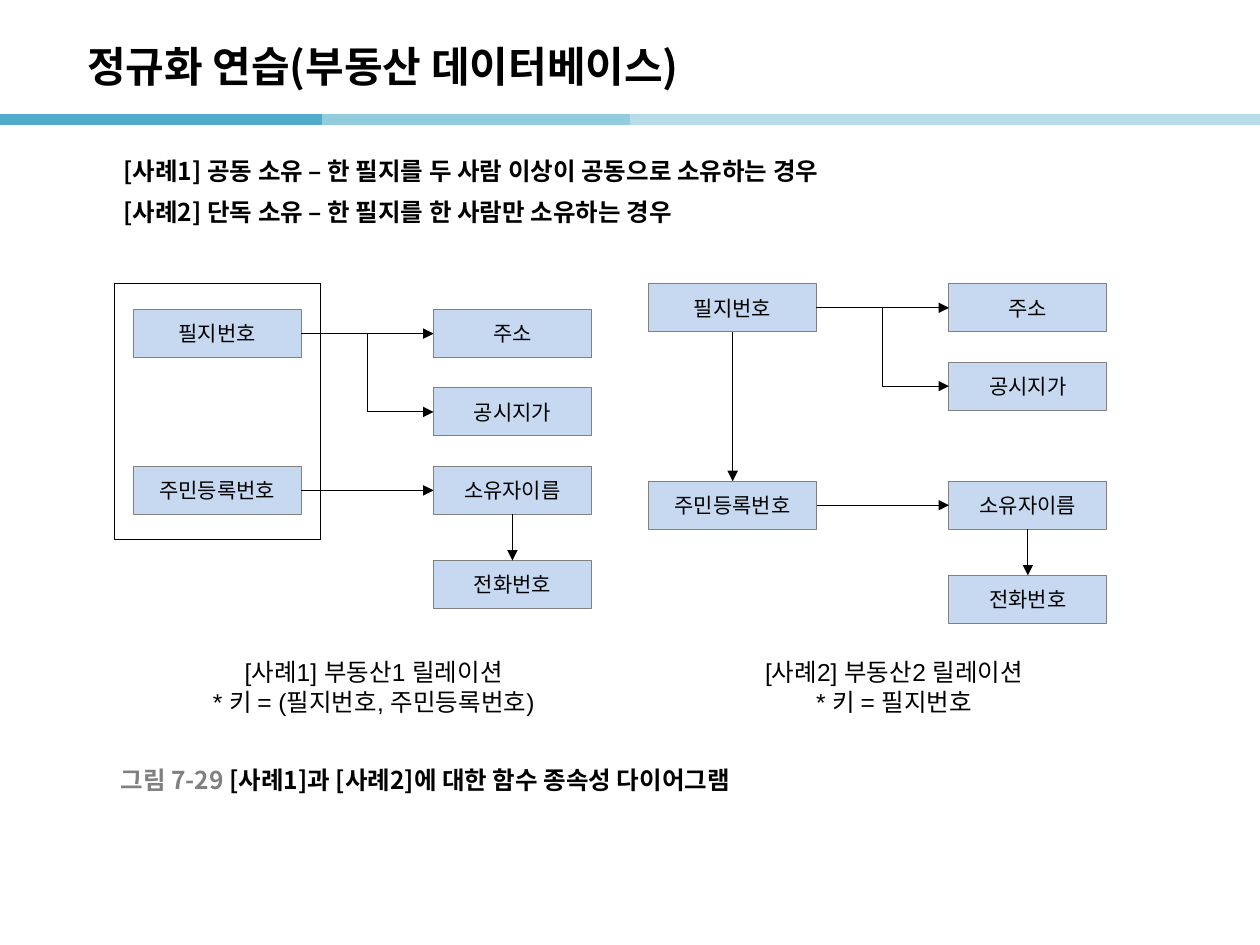
"""Builds the slide on normalization practice with two functional dependency diagrams."""
from dataclasses import dataclass

from lxml import etree
from pptx import Presentation
from pptx.dml.color import RGBColor
from pptx.enum.shapes import MSO_CONNECTOR, MSO_SHAPE
from pptx.enum.text import MSO_ANCHOR, PP_ALIGN
from pptx.oxml.ns import qn
from pptx.util import Cm, Pt

STRAIGHT, ELBOW = MSO_CONNECTOR.STRAIGHT, MSO_CONNECTOR.ELBOW
RECTANGLE = MSO_SHAPE.RECTANGLE
MIDDLE, TOP_ANCHOR = MSO_ANCHOR.MIDDLE, MSO_ANCHOR.TOP
LEFT_ALIGN, CENTER = PP_ALIGN.LEFT, PP_ALIGN.CENTER
TOP, LEFT, BOTTOM, RIGHT = range(4)
KOREAN, LATIN = "Noto Sans CJK KR", "Arial"
COLORS = {
    "text": "000000", "gray": "808080", "box": "C6D9F1", "white": "FFFFFF",
    "teal": "50ABCC", "aqua": "93CDDD", "pale": "B7DEE8",
}
TITLE_FONT = {"name": KOREAN, "size": Pt(24), "bold": True}
BODY_FONT = {"name": KOREAN, "size": Pt(14), "bold": True}
BOX_FONT = {"name": KOREAN, "size": Pt(12), "bold": False}
CAPTION_FONT = {"name": LATIN, "size": Pt(14), "bold": False}
KEY_WIDTH, FACT_WIDTH, BOX_HEIGHT = 3.38, 3.18, 0.97
FACT_OFFSET, PRICE_OFFSET, PHONE_OFFSET = 6.05, 1.58, 1.9


@dataclass
class Bar:
    start: float
    end: float
    color: str


@dataclass
class Panel:
    left: float
    parcel_top: float
    owner_top: float
    parcel_sets_resident: bool


@dataclass
class Caption:
    left: float
    width: float
    text: str


BARS = [Bar(0, 6.5, "teal"), Bar(6.5, 13, "aqua"), Bar(12.7, 19.2, "pale"), Bar(18.95, 25.45, "pale")]
PANELS = [Panel(2.69, 6.24, 9.4, False), Panel(13.08, 5.72, 9.7, True)]
CASES = [
    "[사례1] 공동 소유 – 한 필지를 두 사람 이상이 공동으로 소유하는 경우",
    "[사례2] 단독 소유 – 한 필지를 한 사람만 소유하는 경우",
]
CAPTIONS = [
    Caption(1.9, 10, "[사례1] 부동산1 릴레이션\v* 키 = (필지번호, 주민등록번호)"),
    Caption(13.49, 7.8, "[사례2] 부동산2 릴레이션\v* 키 = 필지번호"),
]
FIGURE_RUNS = [("그림 7-29 ", "gray"), ("[사례1]과 [사례2]에 대한 함수 종속성 다이어그램", "text")]


def rgb(name: str) -> RGBColor:
    return RGBColor.from_string(COLORS[name])


def apply(target, values: dict) -> None:
    for name, value in values.items():
        setattr(target, name, value)


def format_paragraph(paragraph, font: dict, align=LEFT_ALIGN, color: str = "text") -> None:
    paragraph.alignment = align
    for run in paragraph.runs:
        apply(run.font, font)
        run.font.color.rgb = rgb(color)
        etree.SubElement(run.font._element, qn("a:ea"), typeface=KOREAN)


def indent(paragraph, margin: float, first_line: float) -> None:
    properties = paragraph._p.get_or_add_pPr()
    properties.set("marL", str(Cm(margin)))
    properties.set("indent", str(Cm(first_line)))


def add_text_frame(slide, left: float, top: float, width: float, height: float, anchor=TOP_ANCHOR):
    frame = slide.shapes.add_textbox(Cm(left), Cm(top), Cm(width), Cm(height)).text_frame
    apply(frame, {"word_wrap": True, "vertical_anchor": anchor})
    return frame


def add_rectangle(slide, left: float, top: float, width: float, height: float, fill: str, line: str):
    shape = slide.shapes.add_shape(RECTANGLE, Cm(left), Cm(top), Cm(width), Cm(height))
    shape.shadow.inherit = False
    shape.fill.solid()
    shape.fill.fore_color.rgb = rgb(fill)
    shape.line.color.rgb = rgb(line)
    shape.line.width = Pt(0.5)
    return shape


def add_box(slide, left: float, top: float, width: float, text: str):
    shape = add_rectangle(slide, left, top, width, BOX_HEIGHT, "box", "gray")
    frame = shape.text_frame
    apply(frame, {"text": text, "vertical_anchor": MIDDLE, "margin_left": Cm(0.1), "margin_right": Cm(0.1)})
    format_paragraph(frame.paragraphs[0], BOX_FONT, CENTER)
    return shape


def add_line(slide, kind, color: str, width: float, start: float = 0, end: float = 0, height: float = 0):
    line = slide.shapes.add_connector(kind, Cm(start), Cm(height), Cm(end), Cm(height))
    line.line.color.rgb = rgb(color)
    line.line.width = Pt(width)
    etree.SubElement(line._element.spPr, qn("a:effectLst"))
    return line


def add_arrow(slide, source, source_side: int, target, target_side: int, kind=STRAIGHT) -> None:
    arrow = add_line(slide, kind, "text", 0.5)
    arrow.begin_connect(source, source_side)
    arrow.end_connect(target, target_side)
    etree.SubElement(arrow.line._get_or_add_ln(), qn("a:tailEnd"), type="triangle")


def add_panel(slide, panel: Panel) -> None:
    fact_left = panel.left + FACT_OFFSET
    parcel = add_box(slide, panel.left, panel.parcel_top, KEY_WIDTH, "필지번호")
    resident = add_box(slide, panel.left, panel.owner_top, KEY_WIDTH, "주민등록번호")
    address = add_box(slide, fact_left, panel.parcel_top, FACT_WIDTH, "주소")
    price = add_box(slide, fact_left, panel.parcel_top + PRICE_OFFSET, FACT_WIDTH, "공시지가")
    owner = add_box(slide, fact_left, panel.owner_top, FACT_WIDTH, "소유자이름")
    phone = add_box(slide, fact_left, panel.owner_top + PHONE_OFFSET, FACT_WIDTH, "전화번호")
    add_arrow(slide, parcel, RIGHT, address, LEFT)
    add_arrow(slide, parcel, RIGHT, price, LEFT, ELBOW)
    add_arrow(slide, resident, RIGHT, owner, LEFT)
    add_arrow(slide, owner, BOTTOM, phone, TOP)
    if panel.parcel_sets_resident:
        add_arrow(slide, parcel, BOTTOM, resident, TOP)


def add_title(slide) -> None:
    title = slide.shapes.title
    apply(title, {"left": Cm(1.5), "top": Cm(0.56), "width": Cm(21), "height": Cm(1.52)})
    apply(title.text_frame, {"text": "정규화 연습(부동산 데이터베이스)", "vertical_anchor": MIDDLE})
    format_paragraph(title.text_frame.paragraphs[0], TITLE_FONT)


def add_cases(slide) -> None:
    frame = add_text_frame(slide, 1.5, 3.02, 22.4, 15.19)
    frame.text = "\n".join(CASES)
    for paragraph in frame.paragraphs:
        format_paragraph(paragraph, BODY_FONT)
        apply(paragraph, {"space_before": Pt(2.8), "space_after": Pt(4)})
        indent(paragraph, 1.24, -0.5)


def add_caption(slide, caption: Caption) -> None:
    frame = add_text_frame(slide, caption.left, 13.13, caption.width, 1.45)
    frame.text = caption.text
    format_paragraph(frame.paragraphs[0], CAPTION_FONT, CENTER)
    indent(frame.paragraphs[0], 1.27, 0)


def add_figure_title(slide) -> None:
    paragraph = add_text_frame(slide, 2.18, 15.32, 14.5, 0.79, MIDDLE).paragraphs[0]
    for text, _ in FIGURE_RUNS:
        paragraph.add_run().text = text
    format_paragraph(paragraph, BODY_FONT)
    for run, (_, color) in zip(paragraph.runs, FIGURE_RUNS):
        run.font.color.rgb = rgb(color)


def main() -> None:
    presentation = Presentation()
    apply(presentation, {"slide_width": Cm(25.4), "slide_height": Cm(19.05)})
    slide = presentation.slides.add_slide(presentation.slide_layouts[5])
    for bar in BARS:
        add_line(slide, STRAIGHT, bar.color, 6, bar.start, bar.end, 2.41)
    add_title(slide)
    add_cases(slide)
    add_rectangle(slide, 2.31, 5.72, 4.16, 5.15, "white", "text")
    for panel in PANELS:
        add_panel(slide, panel)
    for caption in CAPTIONS:
        add_caption(slide, caption)
    add_figure_title(slide)
    presentation.save("out.pptx")


if __name__ == "__main__":
    main()
